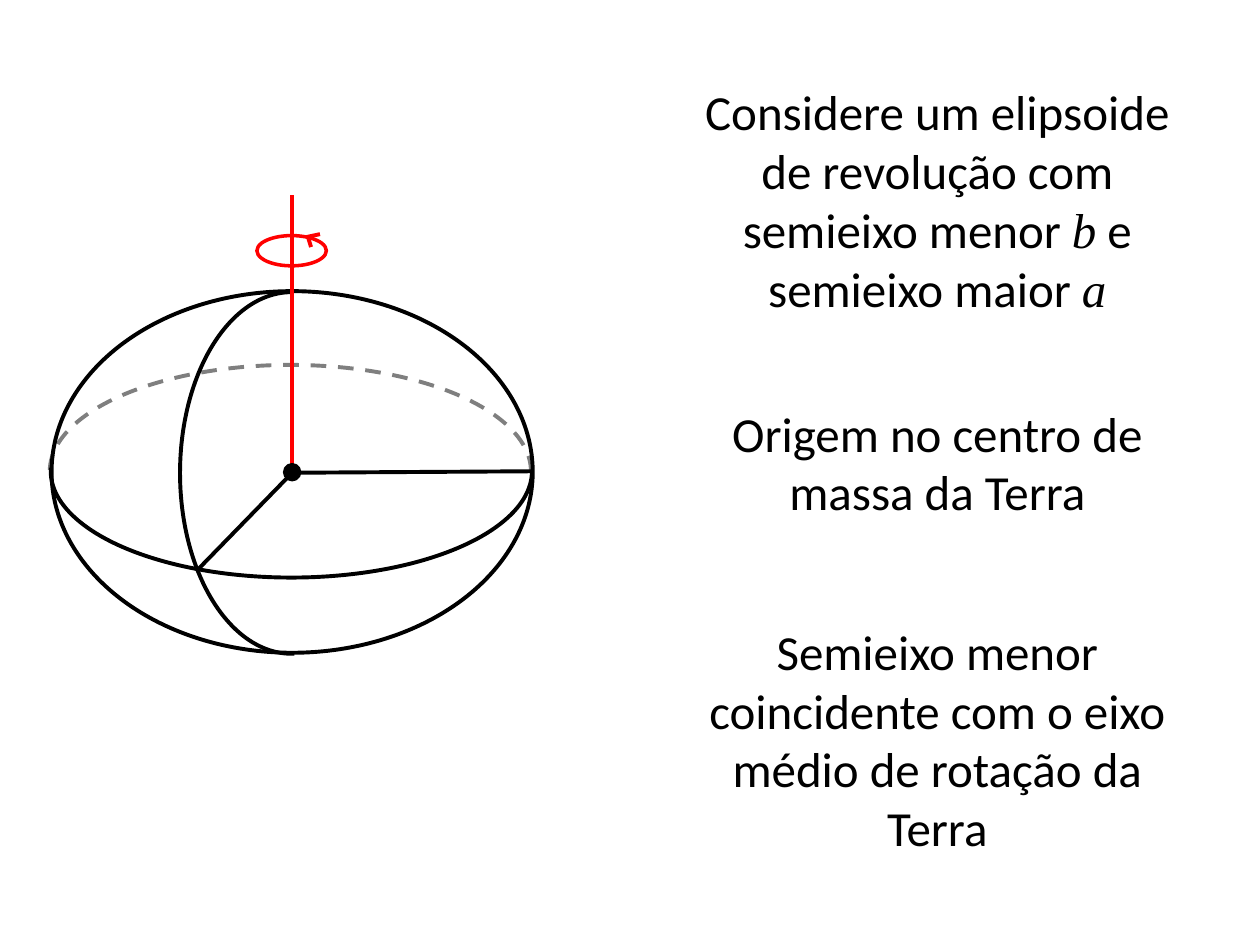
from dataclasses import dataclass

from lxml.etree import SubElement
from pptx import Presentation
from pptx.dml.color import RGBColor
from pptx.enum.dml import MSO_LINE
from pptx.enum.shapes import MSO_CONNECTOR, MSO_SHAPE
from pptx.enum.text import MSO_AUTO_SIZE, PP_ALIGN
from pptx.oxml.ns import qn
from pptx.util import Cm, Pt


@dataclass(frozen=True)
class Theme:
    black: RGBColor = RGBColor(0, 0, 0)
    red: RGBColor = RGBColor(255, 0, 0)
    text_size: Pt = Pt(28)
    text_font: str = "Calibri"
    symbol_font: str = "Times New Roman"
    line_width: Pt = Pt(2.25)
    thin_line_width: Pt = Pt(2)


THEME = Theme()


@dataclass(frozen=True)
class Box:
    """Position and size in centimetres."""
    left: float
    top: float
    width: float
    height: float

    def lengths(self) -> list:
        return [Cm(value) for value in (self.left, self.top, self.width, self.height)]


@dataclass(frozen=True)
class Oval:
    box: Box
    color: RGBColor = THEME.black
    line_width: Pt = THEME.line_width
    filled: bool = False


@dataclass(frozen=True)
class HalfEllipse:
    box: Box
    rotation: int = 0
    flips: tuple = ("flipH",)
    hidden_side: bool = False


@dataclass(frozen=True)
class Segment:
    start: tuple
    end: tuple
    color: RGBColor = THEME.black


@dataclass(frozen=True)
class Statement:
    """Text runs alternate between plain words and italic symbols."""
    top: float
    height: float
    runs: tuple


CENTER = (5.89, 9.53)

ELLIPSOID = Oval(Box(1.04, 5.87, 9.7, 7.29))
ROTATION_RING = Oval(Box(5.18, 4.75, 1.4, 0.61), THEME.red, THEME.thin_line_width)
CENTER_DOT = Oval(Box(5.74, 9.37, 0.3, 0.3), line_width=THEME.thin_line_width, filled=True)

HALF_ELLIPSES = (
    HalfEllipse(Box(3.63, 5.89, 4.5, 7.29)),
    HalfEllipse(Box(3.71, 4.65, 4.29, 9.7), rotation=90, hidden_side=True),
    HalfEllipse(Box(3.73, 4.65, 4.29, 9.7), rotation=270, flips=("flipH", "flipV")),
)
SEMI_AXES = (
    Segment(CENTER, (10.74, 9.5)),
    Segment(CENTER, (3.99, 11.48)),
)
ROTATION_SEGMENTS = (
    Segment((6.17, 4.78), (6.45, 4.72), THEME.red),
    Segment((6.27, 4.98), (6.2, 4.75), THEME.red),
    Segment(CENTER, (5.89, 3.94), THEME.red),
)
STATEMENTS = (
    Statement(1.52, 5.05, ("Considere um elipsoide de revolução com semieixo menor ", "b",
                           " e semieixo maior ", "a")),
    Statement(8, 2.64, ("Origem no centro de massa da Terra",)),
    Statement(12.4, 5.05, ("Semieixo menor coincidente com o eixo médio de rotação da Terra",)),
)


def apply_format(target, values: dict) -> None:
    for name, value in values.items():
        setattr(target, name, value)


def draw_outline(slide, kind, box: Box, color: RGBColor, width: Pt):
    shape = slide.shapes.add_shape(kind, *box.lengths())
    shape.shadow.inherit = False
    shape.fill.background()
    shape.line.color.rgb = color
    shape.line.width = width
    return shape


def draw_oval(slide, oval: Oval) -> None:
    shape = draw_outline(slide, MSO_SHAPE.OVAL, oval.box, oval.color, oval.line_width)
    if oval.filled:
        shape.fill.solid()
        shape.fill.fore_color.rgb = oval.color


def draw_half_ellipse(slide, half: HalfEllipse) -> None:
    shape = draw_outline(slide, MSO_SHAPE.ARC, half.box, THEME.black, THEME.line_width)
    # Arc angles are stored in units of 100000/60000 degrees.
    shape.adjustments[0] = 162
    shape.adjustments[1] = 54.496
    shape.rotation = half.rotation
    for flip in half.flips:
        shape._element.spPr.xfrm.set(flip, "1")
    if half.hidden_side:
        shape.line.dash_style = MSO_LINE.DASH
        color = shape.line._ln.find(".//" + qn("a:srgbClr"))
        SubElement(color, qn("a:alpha"), val="50000")


def draw_segment(slide, segment: Segment) -> None:
    points = [Cm(value) for value in segment.start + segment.end]
    connector = slide.shapes.add_connector(MSO_CONNECTOR.STRAIGHT, *points)
    connector.line.color.rgb = segment.color
    connector.line.width = THEME.line_width
    SubElement(connector._element.spPr, qn("a:effectLst"))


def draw_statement(slide, statement: Statement) -> None:
    box = Box(13.89, statement.top, 10.01, statement.height)
    frame = slide.shapes.add_textbox(*box.lengths()).text_frame
    apply_format(frame, {"word_wrap": True, "auto_size": MSO_AUTO_SIZE.SHAPE_TO_FIT_TEXT})
    paragraph = frame.paragraphs[0]
    paragraph.alignment = PP_ALIGN.CENTER
    for index, text in enumerate(statement.runs):
        is_symbol = index % 2 == 1
        run = paragraph.add_run()
        run.text = text
        run.font.color.rgb = THEME.black
        apply_format(run.font, {
            "size": THEME.text_size,
            "name": THEME.symbol_font if is_symbol else THEME.text_font,
            "italic": is_symbol,
        })


def main() -> None:
    presentation = Presentation()
    apply_format(presentation, {"slide_width": Cm(25.4), "slide_height": Cm(19.05)})
    slide = presentation.slides.add_slide(presentation.slide_layouts[6])

    draw_oval(slide, ELLIPSOID)
    for half in HALF_ELLIPSES:
        draw_half_ellipse(slide, half)
    for segment in SEMI_AXES:
        draw_segment(slide, segment)
    draw_oval(slide, ROTATION_RING)
    for segment in ROTATION_SEGMENTS:
        draw_segment(slide, segment)
    draw_oval(slide, CENTER_DOT)
    for statement in STATEMENTS:
        draw_statement(slide, statement)

    presentation.save("out.pptx")


if __name__ == "__main__":
    main()
